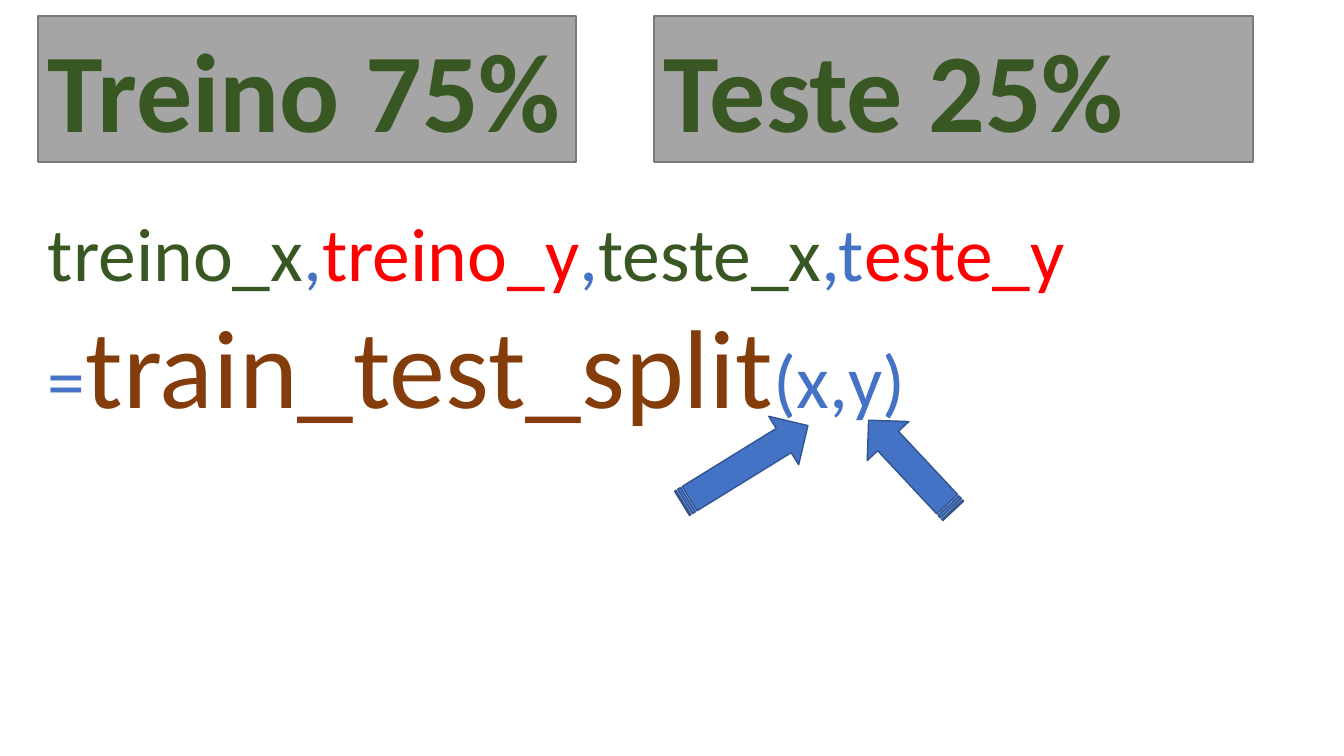
from pptx import Presentation
from pptx.dml.color import RGBColor
from pptx.enum.shapes import MSO_SHAPE
from pptx.enum.text import MSO_ANCHOR, MSO_AUTO_SIZE, PP_ALIGN
from pptx.util import Pt

RECTANGLE = MSO_SHAPE.RECTANGLE
STRIPED_ARROW = MSO_SHAPE.STRIPED_RIGHT_ARROW
TOP = MSO_ANCHOR.TOP
GROW = MSO_AUTO_SIZE.SHAPE_TO_FIT_TEXT
LEFT = PP_ALIGN.LEFT

EMU_PER_PX = 914400 / 100.8
BLANK_LAYOUT = 6
COLORS = {
    "gray": "A5A5A5",
    "gray_edge": "7A7A7A",
    "green": "385723",
    "blue": "4472C4",
    "blue_edge": "325491",
    "red": "FF0000",
    "brown": "843C0B",
}


def px(length):
    return round(length * EMU_PER_PX)


class SplitSlide:
    font = "Calibri"
    large = 80
    normal = 54

    def __init__(self, deck):
        self.slide = deck.slides.add_slide(deck.slide_layouts[BLANK_LAYOUT])

    def color(self, name):
        return RGBColor.from_string(COLORS[name])

    def shape(self, kind, box, fill, edge):
        shape = self.slide.shapes.add_shape(kind, *map(px, box))
        shape.shadow.inherit = False
        shape.fill.solid()
        shape.fill.fore_color.rgb = self.color(fill)
        shape.line.color.rgb = self.color(edge)
        shape.line.width = Pt(1)
        return shape

    def add_lines(self, frame, lines, wrap=True, bold=False):
        frame.word_wrap = wrap
        frame.auto_size = GROW
        frame.vertical_anchor = TOP
        for index, line in enumerate(lines):
            paragraph = frame.add_paragraph() if index else frame.paragraphs[0]
            paragraph.alignment = LEFT
            for text, color, size in line:
                run = paragraph.add_run()
                run.text = text
                run.font.name = self.font
                run.font.size = Pt(size)
                run.font.bold = bold
                run.font.color.rgb = self.color(color)

    def banner(self, box, text, wrap):
        banner = self.shape(RECTANGLE, box, "gray", "gray_edge")
        self.add_lines(banner.text_frame, [[(text, "green", self.large)]], wrap, True)

    def code(self, box, lines):
        code = self.slide.shapes.add_textbox(*map(px, box))
        self.add_lines(code.text_frame, lines)

    def arrow(self, box, angle):
        arrow = self.shape(STRIPED_ARROW, box, "blue", "blue_edge")
        arrow.rotation = angle


def main():
    deck = Presentation()
    deck.slide_width, deck.slide_height = px(1344), px(756)
    split = SplitSlide(deck)

    split.banner((38, 16, 538, 146), "Treino 75%", False)
    split.banner((654, 16, 599, 146), "Teste 25%", True)

    outputs = [
        ("treino_x", "green"),
        (",", "blue"),
        ("treino_y", "red"),
        (",", "blue"),
        ("teste_x", "green"),
        (",t", "blue"),
        ("este_y", "red"),
    ]
    call = [
        ("=", "blue", split.normal),
        ("train_test_split", "brown", split.large),
        ("(x,y)", "blue", split.normal),
    ]
    split.code(
        (38, 201, 1471, 238),
        [[(text, color, split.normal) for text, color in outputs], call],
    )

    split.arrow((671, 436, 148, 57), 328.3)
    split.arrow((849, 437, 124, 57), 226.9)

    deck.save("out.pptx")


if __name__ == "__main__":
    main()
